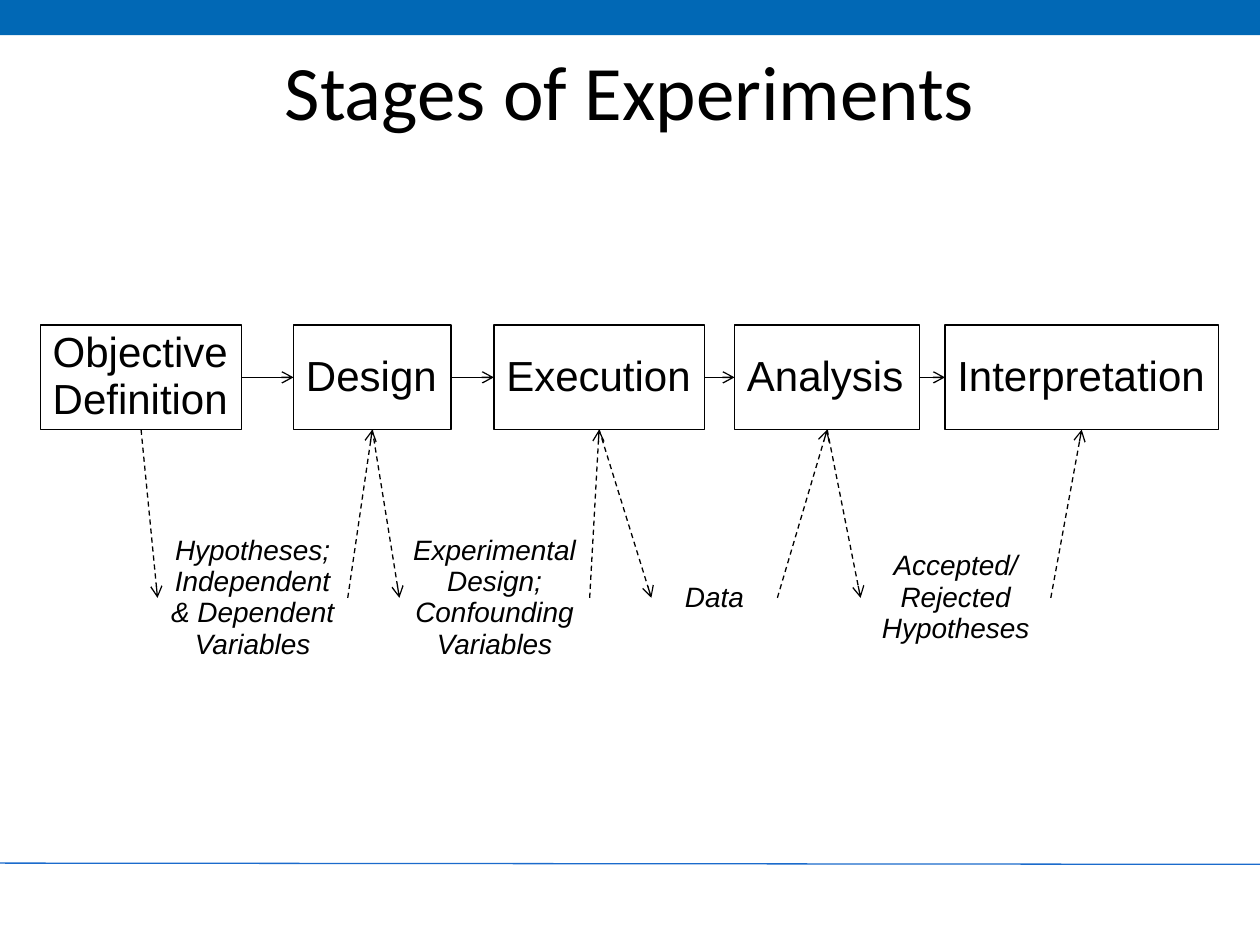
from lxml import etree
from pptx import Presentation
from pptx.dml.color import RGBColor
from pptx.enum.dml import MSO_LINE
from pptx.enum.shapes import MSO_CONNECTOR, MSO_SHAPE
from pptx.enum.text import MSO_ANCHOR, PP_ALIGN
from pptx.oxml.ns import qn
from pptx.util import Inches, Pt

COLORS = {"ink": "000000", "band": "0168B5", "rule": "1B6BCC"}
TITLE = "Stages of Experiments"

# Stages: text, left, width
STAGES = [
    ("Objective Definition", 0.32, 1.6),
    ("Design", 2.33, 1.25),
    ("Execution", 3.92, 1.67),
    ("Analysis", 5.83, 1.47),
    ("Interpretation", 7.5, 2.17),
]
# Products handed from each stage to the next: paragraphs, left, width
PRODUCTS = [
    (["Hypotheses; Independent & Dependent Variables"], 1.25, 1.51),
    (["Experimental Design;", "Confounding", "Variables"], 3.17, 1.51),
    (["Data"], 5.17, 1),
    (["Accepted/Rejected Hypotheses"], 6.83, 1.51),
]
STAGE_TOP, STAGE_HEIGHT = 2.58, 0.83
PRODUCT_TOP, PRODUCT_HEIGHT = 4.08, 1.33
TOP, LEFT, BOTTOM, RIGHT = range(4)

presentation = Presentation()
presentation.slide_width, presentation.slide_height = Inches(10), Inches(7.5)
slide = presentation.slides.add_slide(presentation.slide_layouts[6])


def color(name):
    return RGBColor.from_string(COLORS[name])


def add_box(left, top, width, height, fill=None, line=None):
    shape = slide.shapes.add_shape(
        MSO_SHAPE.RECTANGLE, Inches(left), Inches(top), Inches(width), Inches(height))
    shape.shadow.inherit = False
    if fill:
        shape.fill.solid()
        shape.fill.fore_color.rgb = color(fill)
    else:
        shape.fill.background()
    if line:
        shape.line.color.rgb = color(line)
        shape.line.width = Pt(0.75)
    else:
        shape.line.fill.background()
    return shape


def add_text_box(left, top, width, height):
    return slide.shapes.add_textbox(
        Inches(left), Inches(top), Inches(width), Inches(height))


def write(shape, texts, size, font="Arial", align=PP_ALIGN.CENTER,
          anchor=MSO_ANCHOR.MIDDLE, italic=False, spacing=0.93):
    frame = shape.text_frame
    frame.word_wrap = True
    frame.vertical_anchor = anchor
    for index, text in enumerate(texts):
        paragraph = frame.add_paragraph() if index else frame.paragraphs[0]
        paragraph.alignment = align
        paragraph.line_spacing = spacing
        run = paragraph.add_run()
        run.text = text
        run.font.name, run.font.size, run.font.italic = font, Pt(size), italic
        run.font.color.rgb = color("ink")


def add_line(x1=0, y1=0, x2=0, y2=0, ink="ink"):
    connector = slide.shapes.add_connector(
        MSO_CONNECTOR.STRAIGHT, Inches(x1), Inches(y1), Inches(x2), Inches(y2))
    connector.line.color.rgb = color(ink)
    connector.line.width = Pt(0.75)
    etree.SubElement(connector._element.spPr, qn("a:effectLst"))
    return connector


def add_arrow(source, source_side, target, target_side, dashed=False):
    connector = add_line()
    connector.begin_connect(source, source_side)
    connector.end_connect(target, target_side)
    if dashed:
        connector.line.dash_style = MSO_LINE.DASH
    etree.SubElement(connector.line._get_or_add_ln(), qn("a:tailEnd"), type="arrow")


# Page frame and title
add_line(0, 6.85, 10, 6.86, "rule")
add_box(0, 0, 10.02, 0.28, fill="band")
write(add_text_box(0.5, 0.3, 9, 1.25), [TITLE], 44, "Calibri",
      anchor=MSO_ANCHOR.TOP, spacing=1.0)

# Stage boxes
stages = []
for text, left, width in STAGES:
    stage = add_box(left, STAGE_TOP, width, STAGE_HEIGHT, line="ink")
    write(stage, [text], 24, align=PP_ALIGN.LEFT)
    stages.append(stage)

# Products and the arrows between neighbouring stages
for (texts, left, width), stage, following in zip(PRODUCTS, stages, stages[1:]):
    product = add_text_box(left, PRODUCT_TOP, width, PRODUCT_HEIGHT)
    write(product, texts, 16, italic=True)
    add_arrow(stage, RIGHT, following, LEFT)
    add_arrow(stage, BOTTOM, product, LEFT, dashed=True)
    add_arrow(product, RIGHT, following, BOTTOM, dashed=True)

presentation.save("out.pptx")
